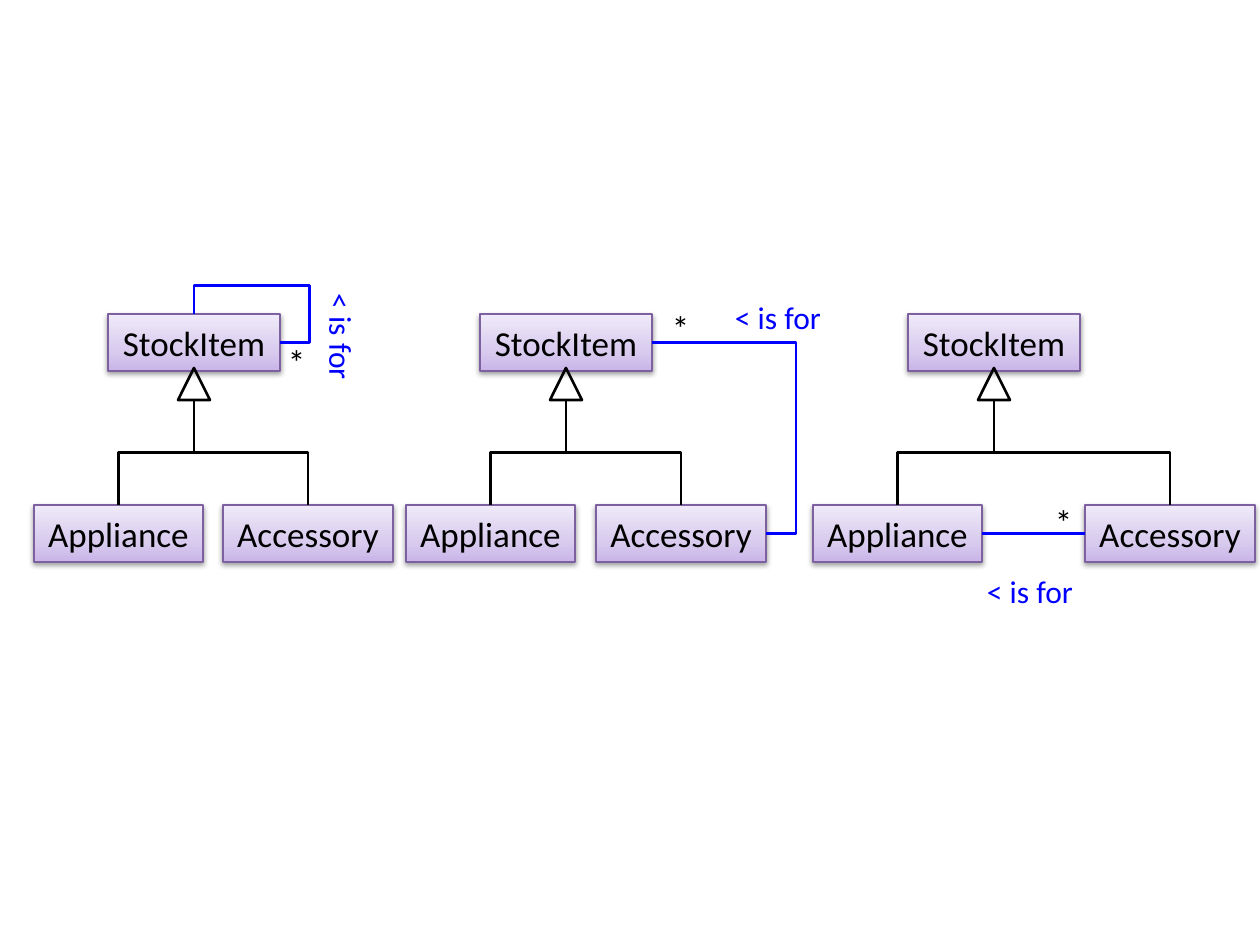
from lxml import etree
from pptx import Presentation
from pptx.dml.color import RGBColor
from pptx.enum.shapes import MSO_CONNECTOR, MSO_SHAPE
from pptx.enum.text import MSO_ANCHOR, MSO_AUTO_SIZE, PP_ALIGN
from pptx.oxml import parse_xml
from pptx.oxml.ns import nsdecls, qn
from pptx.util import Pt

PX = 914400 / 126
FONT = "Calibri"
BLACK = RGBColor(0x00, 0x00, 0x00)
BLUE = RGBColor(0x00, 0x00, 0xFF)
PURPLE = RGBColor(0x7D, 0x60, 0xA0)
STOPS = (
    (0, RGBColor(0xC9, 0xB5, 0xE8)),
    (35, RGBColor(0xD8, 0xCB, 0xEE)),
    (100, RGBColor(0xF0, 0xEA, 0xF9)),
)
RECT, TRIANGLE = MSO_SHAPE.RECTANGLE, MSO_SHAPE.ISOSCELES_TRIANGLE
STRAIGHT, ELBOW = MSO_CONNECTOR.STRAIGHT, MSO_CONNECTOR.ELBOW
MIDDLE, CENTER = MSO_ANCHOR.MIDDLE, PP_ALIGN.CENTER
GROW = MSO_AUTO_SIZE.SHAPE_TO_FIT_TEXT
TOP, LEFT, BOTTOM, RIGHT = range(4)
TRIANGLE_BASE = 3


def emu(*lengths):
    return [round(n * PX) for n in lengths]


class ClassDiagram:
    """Draws class boxes, inheritance trees and associations on one slide."""

    def __init__(self, slide):
        self.slide = slide
        self.shapes = slide.shapes

    def add_text(self, s, text, size, color, wrap):
        tf = s.text_frame
        tf.word_wrap = wrap
        tf.auto_size = GROW
        tf.vertical_anchor = MIDDLE
        p = tf.paragraphs[0]
        p.alignment = CENTER
        r = p.add_run()
        r.text = text
        r.font.name = FONT
        r.font.size = Pt(size)
        r.font.color.rgb = color

    def box(self, text, x, y, w):
        s = self.shapes.add_shape(RECT, *emu(x, y, w, 57))
        s.line.color.rgb = PURPLE
        s.line.width = Pt(0.75)
        stops = "".join(
            f'<a:gs pos="{pos * 1000}"><a:srgbClr val="{color}"/></a:gs>'
            for pos, color in STOPS)
        spPr = s._element.spPr
        spPr.find(qn("a:prstGeom")).addnext(parse_xml(
            f'<a:gradFill {nsdecls("a")} rotWithShape="1"><a:gsLst>{stops}</a:gsLst>'
            '<a:lin ang="16200000" scaled="0"/></a:gradFill>'))
        spPr.append(parse_xml(
            f'<a:effectLst {nsdecls("a")}><a:outerShdw blurRad="40000" dist="20000" '
            f'dir="5400000" rotWithShape="0"><a:srgbClr val="{BLACK}">'
            '<a:alpha val="38000"/></a:srgbClr></a:outerShdw></a:effectLst>'))
        self.add_text(s, text, 20, BLACK, False)
        return s

    def triangle(self, x, y):
        s = self.shapes.add_shape(TRIANGLE, *emu(x, y, 32, 32))
        s.shadow.inherit = False
        s.fill.background()
        s.line.color.rgb = BLACK
        s.line.width = Pt(1.5)
        return s

    def star(self, x, y):
        s = self.shapes.add_textbox(*emu(x, y, 43, 54))
        self.add_text(s, "*", 20, BLACK, True)

    def label(self, x, y, rotation=0):
        s = self.shapes.add_textbox(*emu(x, y, 112, 50))
        s.rotation = rotation
        self.add_text(s, "< is for", 18, BLUE, False)

    def link(self, a, a_side, b, b_side, color=BLUE, kind=ELBOW):
        c = self.shapes.add_connector(kind, 0, 0, 0, 0)
        c.begin_connect(a, a_side)
        c.end_connect(b, b_side)
        c.line.color.rgb = color
        c.line.width = Pt(1.5)
        etree.SubElement(c._element.spPr, qn("a:effectLst"))
        return c

    def bend(self, c, *adjusts):
        geom = c._element.spPr.find(qn("a:prstGeom"))
        geom.set("prst", f"bentConnector{len(adjusts) + 2}")
        for i, value in enumerate(adjusts, 1):
            gd = etree.SubElement(geom.find(qn("a:avLst")), qn("a:gd"))
            gd.set("name", f"adj{i}")
            gd.set("fmla", f"val {value}")

    def turn(self, c, degrees, flip=None):
        w, h = c.width, c.height
        c.left, c.top = c.left + (w - h) // 2, c.top + (h - w) // 2
        c.width, c.height = h, w
        xfrm = c._element.spPr.find(qn("a:xfrm"))
        xfrm.flipH = xfrm.flipV = False
        xfrm.set("rot", str(degrees * 60000))
        if flip:
            xfrm.set(flip, "1")

    def tree(self, x, left_x, right_x):
        parent = self.box("StockItem", x, 314, 172)
        left = self.box("Appliance", left_x, 505, 169)
        right = self.box("Accessory", right_x, 505, 170)
        tip = self.triangle(x + 70, 368)
        for child, degrees, flip in ((left, 90, None), (right, 270, "flipH")):
            c = self.link(tip, BOTTOM, child, TOP, BLACK)
            c._element.nvCxnSpPr.cNvCxnSpPr.stCxn.idx = TRIANGLE_BASE
            self.bend(c, 50000)
            self.turn(c, degrees, flip)
        return parent, left, right


def main():
    prs = Presentation()
    prs.slide_width, prs.slide_height = emu(1260, 945)
    d = ClassDiagram(prs.slides.add_slide(prs.slide_layouts[6]))

    parent, _, right = d.tree(480, 406, 596)
    d.bend(d.link(parent, RIGHT, right, RIGHT), 126300)
    d.star(659, 300)
    d.label(722, 292)

    _, left, right = d.tree(908, 813, 1085)
    d.link(left, RIGHT, right, LEFT, kind=STRAIGHT)
    d.star(1042, 494)
    d.label(974, 566)

    parent, _, _ = d.tree(108, 34, 223)
    loop = d.link(parent, TOP, parent, RIGHT)
    d.bend(loop, -100700, 134500)
    d.turn(loop, 90, "flipV")
    d.star(275, 334)
    d.label(286, 312, 90)

    prs.save("out.pptx")


if __name__ == "__main__":
    main()
